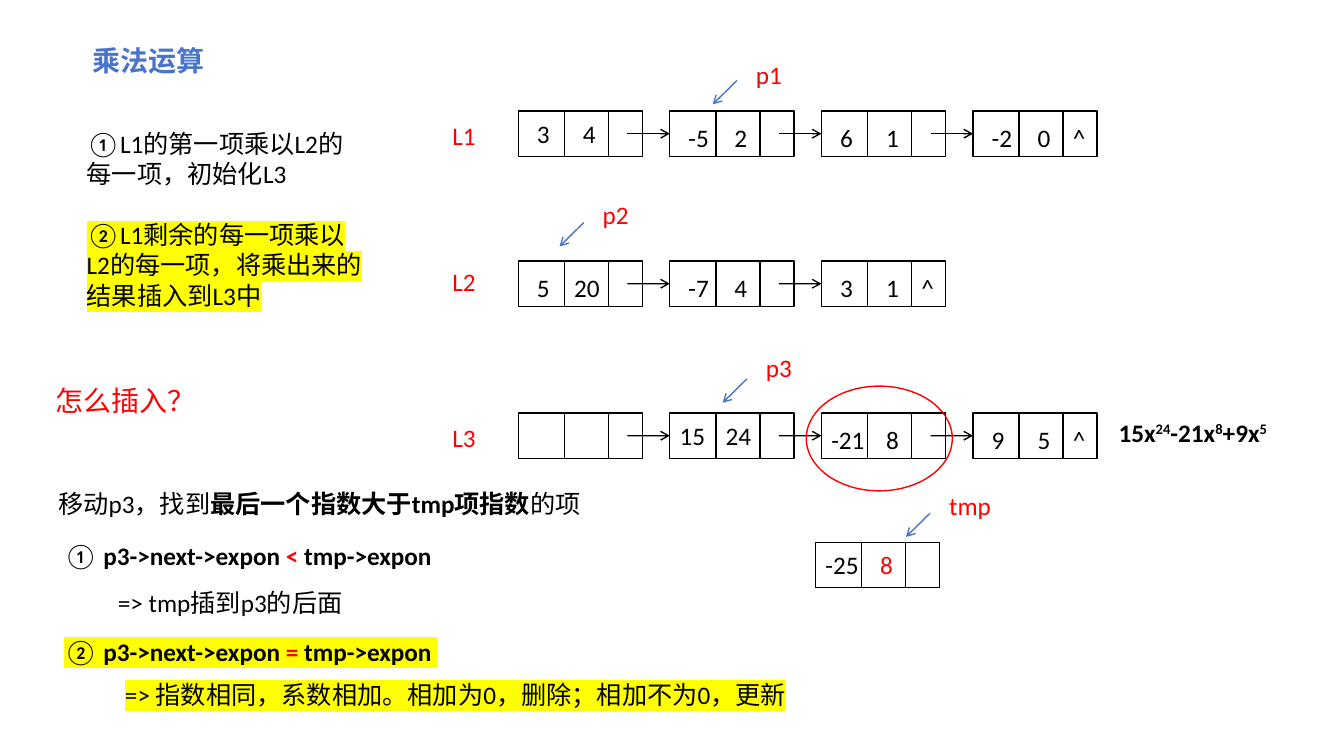
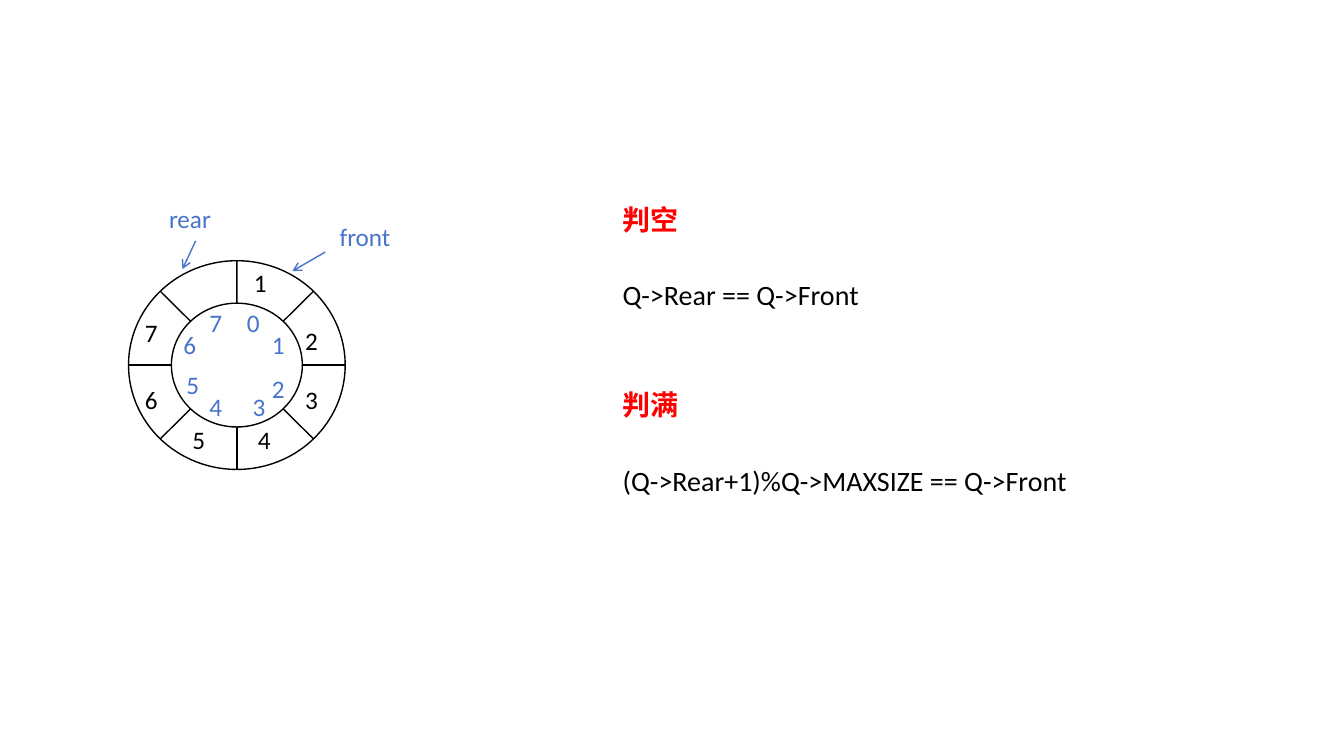
from math import cos, pi, sin

from lxml.etree import SubElement
from pptx import Presentation
from pptx.dml.color import RGBColor
from pptx.enum.shapes import MSO_CONNECTOR as Link, MSO_SHAPE as Form
from pptx.enum.text import MSO_ANCHOR as Anchor, MSO_AUTO_SIZE as Fit, PP_ALIGN as Align
from pptx.oxml.ns import qn
from pptx.util import Cm, Pt

BLACK = RGBColor(0x00, 0x00, 0x00)
RED = RGBColor(0xFF, 0x00, 0x00)
BLUE = RGBColor(0x48, 0x74, 0xCB)
YELLOW = RGBColor(0xFF, 0xFF, 0x00)
FONT = "Calibri"


def write(slide, spot, words, color=BLACK, size=18, bold=False, box=None):
    """Place text at spot (cm); a bar in words parts the runs, which are returned."""
    box = box or slide.shapes.add_textbox(0, 0, 0, 0)
    box.left, box.top, box.width, box.height = [Cm(v) for v in spot]
    frame = box.text_frame
    frame.word_wrap = True
    frame.auto_size = Fit.NONE
    frame.vertical_anchor = Anchor.TOP
    frame.text = words.replace("|", "")
    runs = []
    for para, line in zip(frame.paragraphs, words.split("\n")):
        para.alignment = Align.LEFT
        first, *rest = line.split("|")
        para.runs[0].text = first
        for part in rest:
            para.add_run().text = part
        runs += para.runs
    for run in runs:
        run.font.size = Pt(size)
        run.font.bold = bold
        run.font.color.rgb = color
        run.font.name = FONT
        latin = run._r.rPr.find(qn("a:latin"))
        east = SubElement(run._r.rPr, qn("a:ea"), typeface=FONT)
        latin.addnext(east)
    return runs


def draw(slide, start, end, color=BLACK, arrow=False):
    """Draw a straight line between two points (cm)."""
    line = slide.shapes.add_connector(Link.STRAIGHT, *[Cm(v) for v in start + end])
    line.line.color.rgb = color
    line.line.width = Pt(1)
    if arrow:
        SubElement(line.line._get_or_add_ln(), qn("a:tailEnd"), type="arrow")
    SubElement(line._element.spPr, qn("a:effectLst"))
    return line


deck = Presentation()
deck.slide_width, deck.slide_height = Cm(33.87), Cm(19.05)

# Slide 1: product of two linked lists
page = deck.slides.add_slide(deck.slide_layouts[1])
write(page, (2.08, 0.97, 4.04, 1.12), "乘法运算", BLUE, 20, True, page.shapes.title)

# Steps
body = page.placeholders[1]
steps = write(page, (1.93, 3.1, 7.54, 4.88),
              "①L1的第一项乘以L2的每一项，初始化L3\n"
              "②L1剩余的每一项乘以L2的每一项，将乘出来的结果插入到L3中", box=body)
for para, gap in zip(body.text_frame.paragraphs, (0, 22)):
    props = para._p.get_or_add_pPr()
    props.set("marL", "0")
    props.set("indent", "0")
    SubElement(props, qn("a:buNone"))
    para.space_before = Pt(gap)

# Lists: left, top, then nodes as (text drop, fields)
WIDE, HIGH, STEP = 3.13, 1.14, 3.82
CUTS = (1.16, 2.27)
LOW, UP = 0.16, 0.05
rows = [
    (13.06, 2.8, [(UP, "3", "4"), (LOW, "-5", "2"), (LOW, "6", "1"), (LOW, "-2", "0", "^")]),
    (13.06, 6.58, [(LOW, "5", "20"), (LOW, "-7", "4"), (LOW, "3", "1", "^")]),
    (13.06, 10.41, [(LOW,), (UP, "15", "24"), (LOW, "-21", "8"), (LOW, "9", "5", "^")]),
    (20.55, 13.67, [(UP, "-25", "8")]),
]
for left, top, nodes in rows:
    for i, (drop, *fields) in enumerate(nodes):
        x = left + i * STEP
        node = page.shapes.add_shape(Form.RECTANGLE, Cm(x), Cm(top), Cm(WIDE), Cm(HIGH))
        node.shadow.inherit = False
        node.fill.background()
        node.line.color.rgb = BLACK
        node.line.width = Pt(1)
        for cut in CUTS:
            draw(page, (x + cut, top), (x + cut, top + HIGH))
        if i:
            mid = top + HIGH / 2
            link = draw(page, (x - STEP + 2.75, mid), (x, mid), arrow=True)
            link.end_connect(node, 1)
        for field, edge in zip(fields, (0, *CUTS)):
            # Two-digit numbers start at the edge of their cell
            shift = 0 if len(field.strip("-")) > 1 or field == "^" else 0.22
            last = write(page, (x + edge + shift, top + drop, 1.5, 1), field)
last[0].font.color.rgb = RED

# List names
for name, y in (("L1", 2.9), ("L2", 6.58), ("L3", 10.52)):
    write(page, (11.15, y, 1.35, 1.02), name, RED)

# Pointers: name, left, top, drop to the arrow
for name, x, y, drop in (("p1", 18.8, 1.37, 0.66), ("p2", 14.94, 4.9, 0.71),
                         ("p3", 19.05, 8.76, 0.79), ("tmp", 23.67, 12.22, 0.71)):
    write(page, (x, y, 2, 1.02), name, RED)
    tail = (x - 0.23, y + drop)
    draw(page, tail, (tail[0] - 0.61, tail[1] + 0.6), BLUE, True)

# Ring around the node to update
ring = page.shapes.add_shape(Form.OVAL, Cm(20.32), Cm(9.73), Cm(3.68), Cm(2.64))
ring.shadow.inherit = False
ring.fill.background()
ring.line.color.rgb = RED
ring.line.width = Pt(1)

# Resulting polynomial
terms = write(page, (27.94, 10.39, 5.56, 1.32), "15x|24|-21x|8|+9x|5", bold=True)
for run in terms[1::2]:
    run._r.rPr.set("baseline", "30000")

# How to insert
write(page, (1.14, 9.53, 4.19, 1.22), "怎么插入？", RED, 20)
find = write(page, (1.22, 12.19, 16.41, 1.19), "移动p3，找到|最后一个指数大于tmp项指数|的项")
find[1].font.bold = True
less = write(page, (1.37, 13.49, 11.76, 1.19), "① |p3->next->expon |<| tmp->expon")
same = write(page, (1.37, 15.9, 10.41, 1.1), "② |p3->next->expon |=| tmp->expon| ")
for case in (less, same):
    for run in case[1:4]:
        run.font.bold = True
    case[2].font.color.rgb = RED
write(page, (2.72, 14.68, 9.04, 1.22), "=> tmp插到p3的后面")
merge = write(page, (2.9, 16.99, 17.86, 1.19), "=> 指数相同，系数相加。相加为0，删除；相加不为0，更新")

# Highlights
for run in steps[1:] + same + merge:
    props = run._r.rPr
    mark = SubElement(props, qn("a:highlight"))
    SubElement(mark, qn("a:srgbClr"), val=str(YELLOW))
    props.find(qn("a:solidFill")).addnext(mark)

# Slide 2: circular queue
page = deck.slides.add_slide(deck.slide_layouts[6])
MID_X, MID_Y = 5.97, 9.2
OUTER, INNER = (2.73, 2.63), (1.65, 1.56)
for rx, ry in (OUTER, INNER):
    ring = page.shapes.add_shape(Form.OVAL, Cm(MID_X - rx), Cm(MID_Y - ry), Cm(2 * rx), Cm(2 * ry))
    ring.shadow.inherit = False
    ring.fill.background()
    ring.line.color.rgb = BLACK
    ring.line.width = Pt(1)
for k in range(8):
    turn = k * pi / 4
    ends = [(MID_X + rx * cos(turn), MID_Y + ry * sin(turn)) for rx, ry in (OUTER, INNER)]
    draw(page, *ends)

# Items in the ring and indices inside it
items = [(6.15, 6.6), (7.44, 8.08), (7.44, 9.55), (6.25, 10.57),
         (4.6, 10.57), (3.4, 9.55), (3.4, 7.87)]
slots = [(5.97, 7.62), (6.6, 8.18), (6.6, 9.27), (6.12, 9.73),
         (5.03, 9.73), (4.45, 9.19), (4.37, 8.18), (5.03, 7.62)]
for spots, first, color in ((items, 1, BLACK), (slots, 0, BLUE)):
    for n, spot in enumerate(spots, first):
        write(page, (*spot, 1.2, 1.02), str(n), color)

# Front and rear pointers
for name, spot, start, end in (("front", (8.31, 5.46), (8.2, 6.35), (7.37, 6.83)),
                               ("rear", (4.01, 5), (4.93, 6.07), (4.6, 6.78))):
    write(page, (*spot, 2, 1.35), name, BLUE)
    draw(page, start, end, BLUE, True)

# Tests for empty and full
for y, head, code_y, code in ((4.98, "判空", 6.88, "Q->Rear == Q->Front"),
                              (9.63, "判满", 11.56, "(Q->Rear+1)%Q->MAXSIZE == Q->Front")):
    write(page, (15.44, y, 3.07, 1.07), head, RED, 20, True)
    write(page, (15.44, code_y, 12.6, 1.1), code, size=20)

deck.save("out.pptx")
